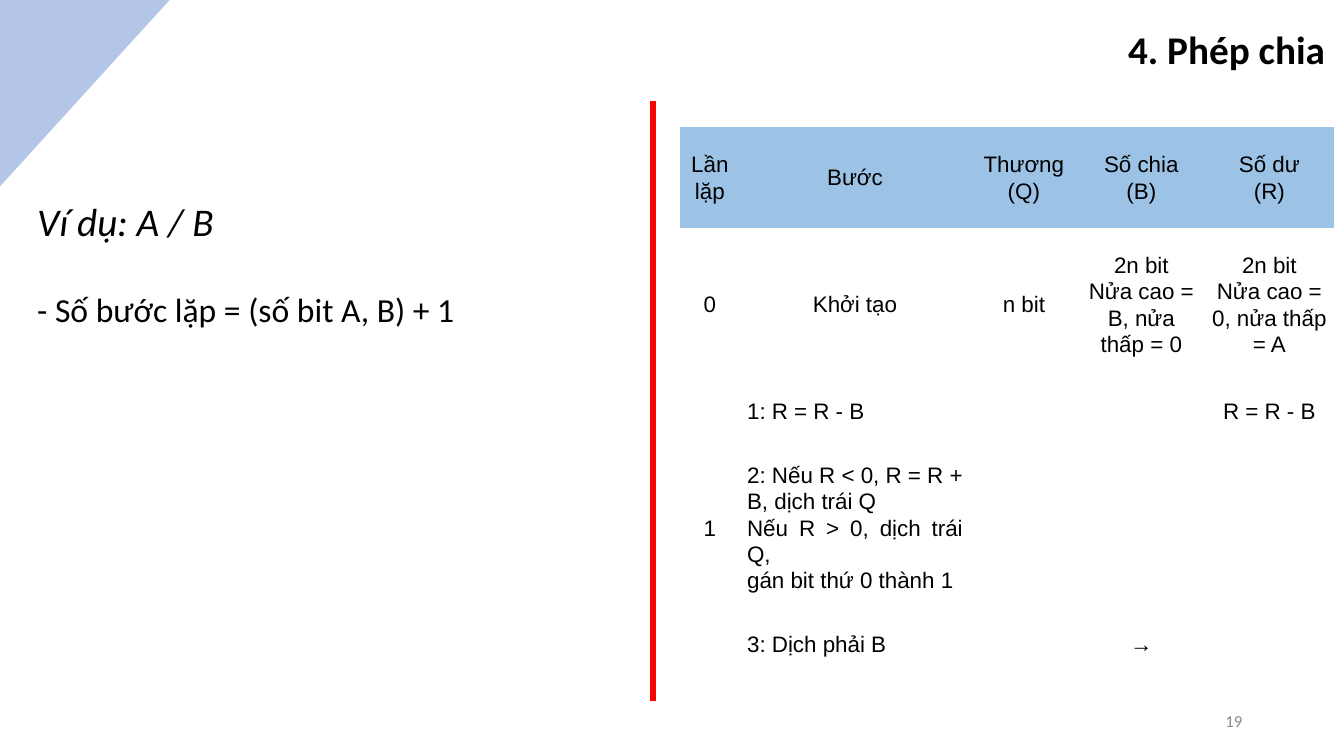
from lxml.etree import SubElement
from pptx import Presentation
from pptx.dml.color import RGBColor
from pptx.enum.shapes import MSO_CONNECTOR
from pptx.enum.text import MSO_ANCHOR, PP_ALIGN
from pptx.oxml.ns import qn
from pptx.util import Inches, Pt

COLORS = {"corner": "B3C6E7", "header": "9CC2E5", "divider": "FF0000",
          "text": "000000", "number": "888888"}
CORNER = [(-0.01, -0.02), (-0.01, 1.86), (1.7, -0.02)]
DIVIDER = (6.48, 1, 6.48, 6.95)
TEXTS = [
    {"text": "19", "box": (9.42, 6.95, 3, 0.4), "color": "number",
     "font": {"size": Pt(12)}, "frame": {"vertical_anchor": MSO_ANCHOR.MIDDLE},
     "paragraph": {"alignment": PP_ALIGN.RIGHT}},
    {"text": "Ví dụ: A / B", "box": (0.27, 1.91, 3.73, 0.57),
     "font": {"size": Pt(28), "italic": True}},
    {"text": "- Số bước lặp = (số bit A, B) + 1", "box": (0.27, 2.82, 5.94, 0.5),
     "font": {"size": Pt(24)}},
    {"text": "4. Phép chia", "box": (2.41, -0.03, 10.83, 0.81),
     "font": {"size": Pt(28), "bold": True},
     "paragraph": {"alignment": PP_ALIGN.RIGHT, "line_spacing": 1.5}},
]
TABLE_ORIGIN = (6.74, 1.26)
COLUMN_WIDTHS = [0.6, 2.28, 1.07, 1.26, 1.28]
ROW_HEIGHTS = [1, 1.52, 0.59, 1.73, 0.59]
ROWS = [
    ["Lần lặp", "Bước", "Thương\n(Q)", "Số chia\n(B)", "Số dư\n(R)"],
    ["0", "Khởi tạo", "n bit", "2n bit\nNửa cao = B, nửa thấp = 0",
     "2n bit\nNửa cao = 0, nửa thấp = A"],
    ["1", "1: R = R - B", "", "", "R = R - B"],
    ["", "2: Nếu R < 0, R = R + B, dịch trái Q\nNếu R > 0, dịch trái Q,\n"
         "gán bit thứ 0 thành 1", "", "", ""],
    ["", "3: Dịch phải B", "", "→", ""],
]
STEP_COLUMN, FIRST_STEP_ROW = 1, 2
NO_STYLE_NO_GRID = "{2D5ABB26-0587-4C30-8999-92F81FD0307C}"
CELL_FORMAT = {"vertical_anchor": MSO_ANCHOR.MIDDLE, "margin_left": Inches(0.07),
               "margin_right": Inches(0.07), "margin_top": 0, "margin_bottom": 0}


def color(name):
    return RGBColor.from_string(COLORS[name])


def apply(target, values):
    for name, value in values.items():
        setattr(target, name, value)


def write(frame, text, font, paragraph_format, color_name="text"):
    frame.text = text
    for paragraph in frame.paragraphs:
        apply(paragraph, paragraph_format)
        for run in paragraph.runs:
            apply(run.font, font)
            run.font.color.rgb = color(color_name)


def add_corner(slide):
    points = [(Inches(x), Inches(y)) for x, y in CORNER]
    builder = slide.shapes.build_freeform(*points[0])
    builder.add_line_segments(points[1:], close=True)
    shape = builder.convert_to_shape()
    shape.shadow.inherit = False
    shape.fill.solid()
    shape.fill.fore_color.rgb = color("corner")
    shape.line.fill.background()


def add_text(slide, item):
    box = slide.shapes.add_textbox(*map(Inches, item["box"]))
    apply(box.text_frame, {"word_wrap": True, **item.get("frame", {})})
    write(box.text_frame, item["text"], {"name": "Calibri", **item["font"]},
          item.get("paragraph", {}), item.get("color", "text"))


def add_division_table(slide):
    size = (sum(COLUMN_WIDTHS), sum(ROW_HEIGHTS))
    frame = slide.shapes.add_table(len(ROWS), len(COLUMN_WIDTHS),
                                   *map(Inches, TABLE_ORIGIN + size))
    table = frame.table
    apply(table, {"first_row": False, "horz_banding": False})
    table._tbl.tblPr.find(qn("a:tableStyleId")).text = NO_STYLE_NO_GRID
    for column, width in zip(table.columns, COLUMN_WIDTHS):
        column.width = Inches(width)
    for row, height in zip(table.rows, ROW_HEIGHTS):
        row.height = Inches(height)
    for row_index, row in enumerate(ROWS):
        for column_index, text in enumerate(row):
            cell = table.cell(row_index, column_index)
            apply(cell, CELL_FORMAT)
            if row_index == 0:
                cell.fill.solid()
                cell.fill.fore_color.rgb = color("header")
            else:
                cell.fill.background()
            is_step = column_index == STEP_COLUMN and row_index >= FIRST_STEP_ROW
            alignment = PP_ALIGN.JUSTIFY if is_step else PP_ALIGN.CENTER
            write(cell.text_frame, text, {"name": "Arial", "size": Pt(16)},
                  {"alignment": alignment, "line_spacing": 1.06})
    table.cell(FIRST_STEP_ROW, 0).merge(table.cell(len(ROWS) - 1, 0))


def add_divider(slide):
    line = slide.shapes.add_connector(MSO_CONNECTOR.STRAIGHT, *map(Inches, DIVIDER))
    line.line.color.rgb = color("divider")
    line.line.width = Pt(4.5)
    SubElement(line._element.spPr, qn("a:effectLst"))


def main():
    """Build the slide on the division algorithm."""
    presentation = Presentation()
    apply(presentation, {"slide_width": Inches(13.33), "slide_height": Inches(7.5)})
    slide = presentation.slides.add_slide(presentation.slide_layouts[6])
    add_corner(slide)
    add_division_table(slide)
    for item in TEXTS:
        add_text(slide, item)
    add_divider(slide)
    presentation.save("out.pptx")


if __name__ == "__main__":
    main()
